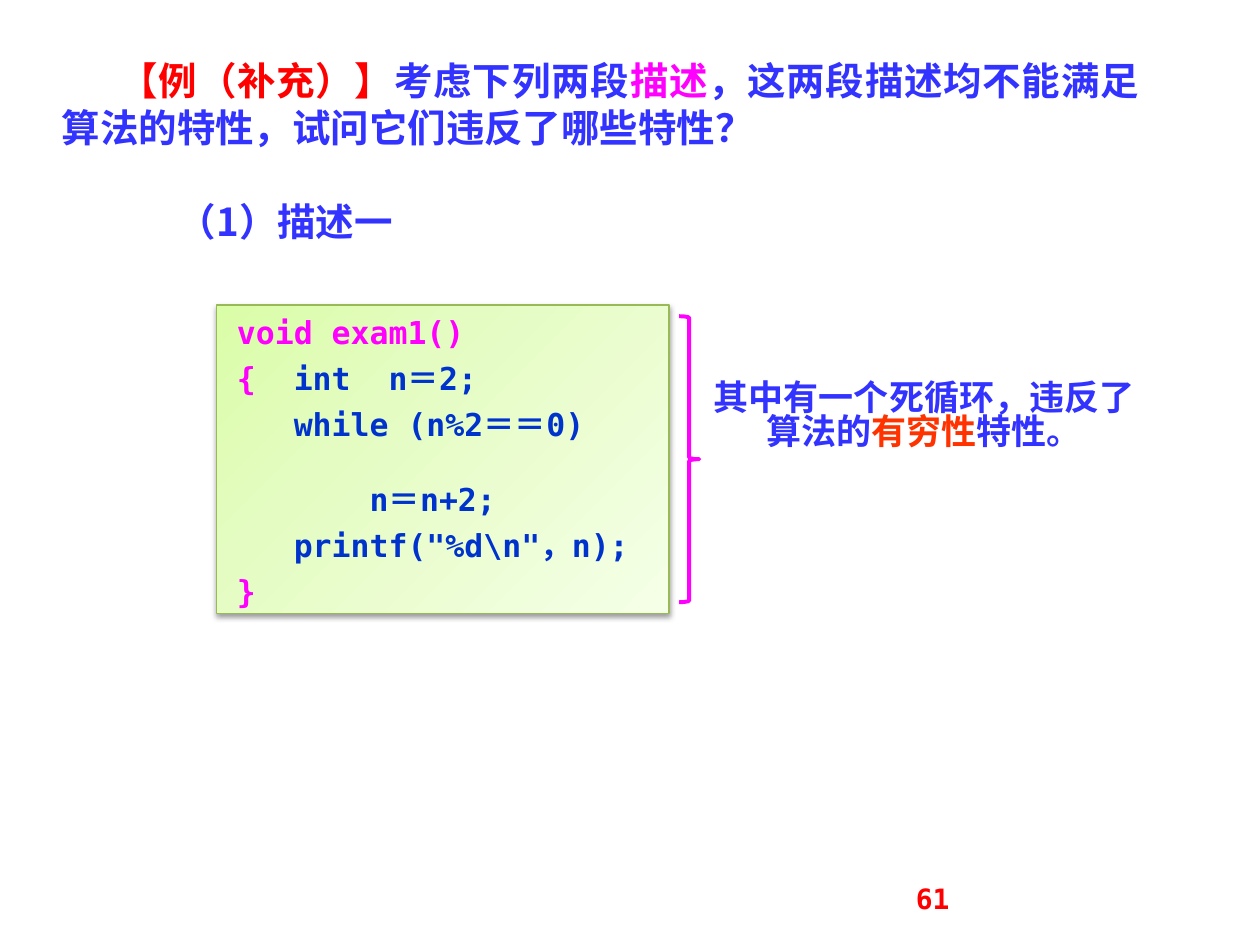
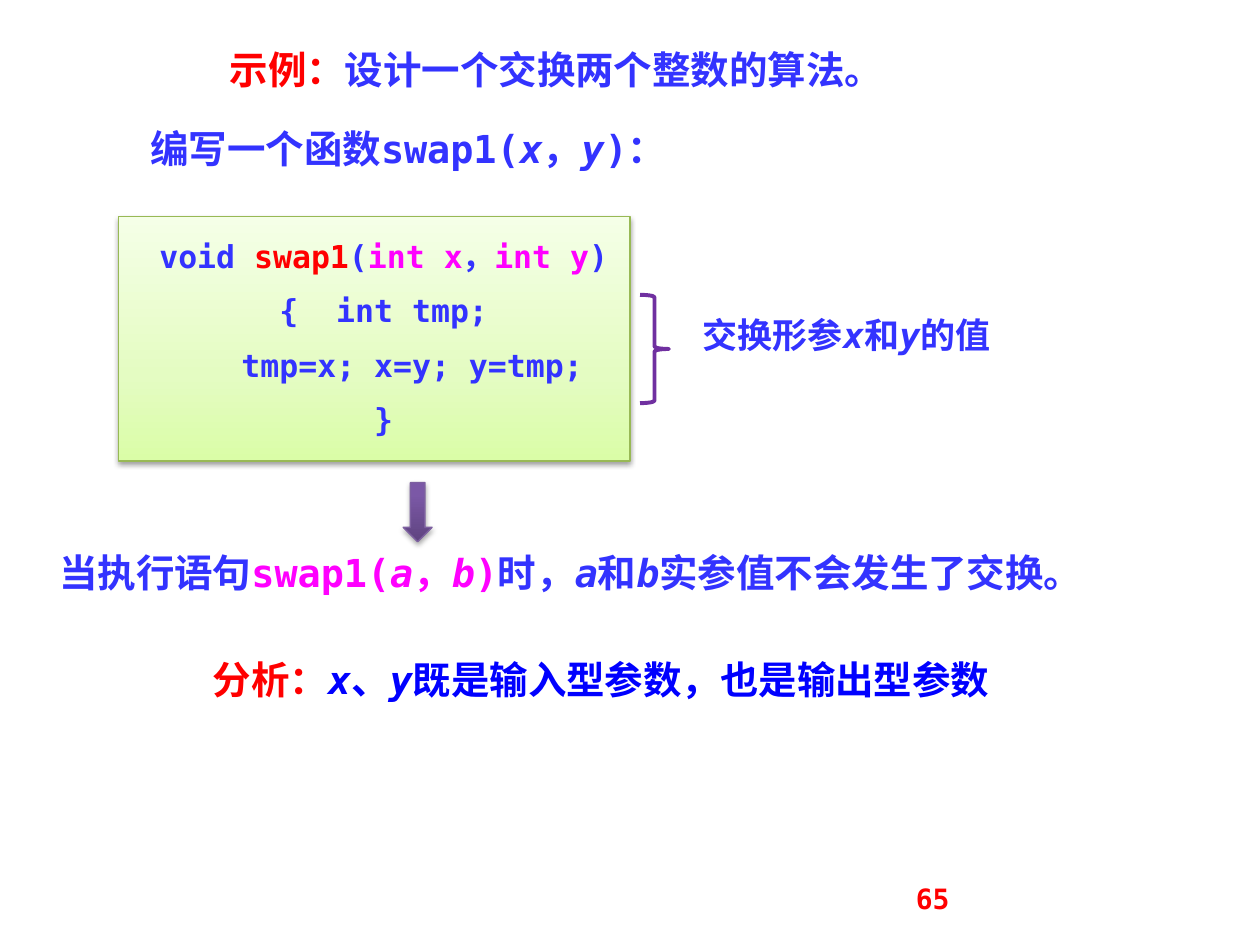
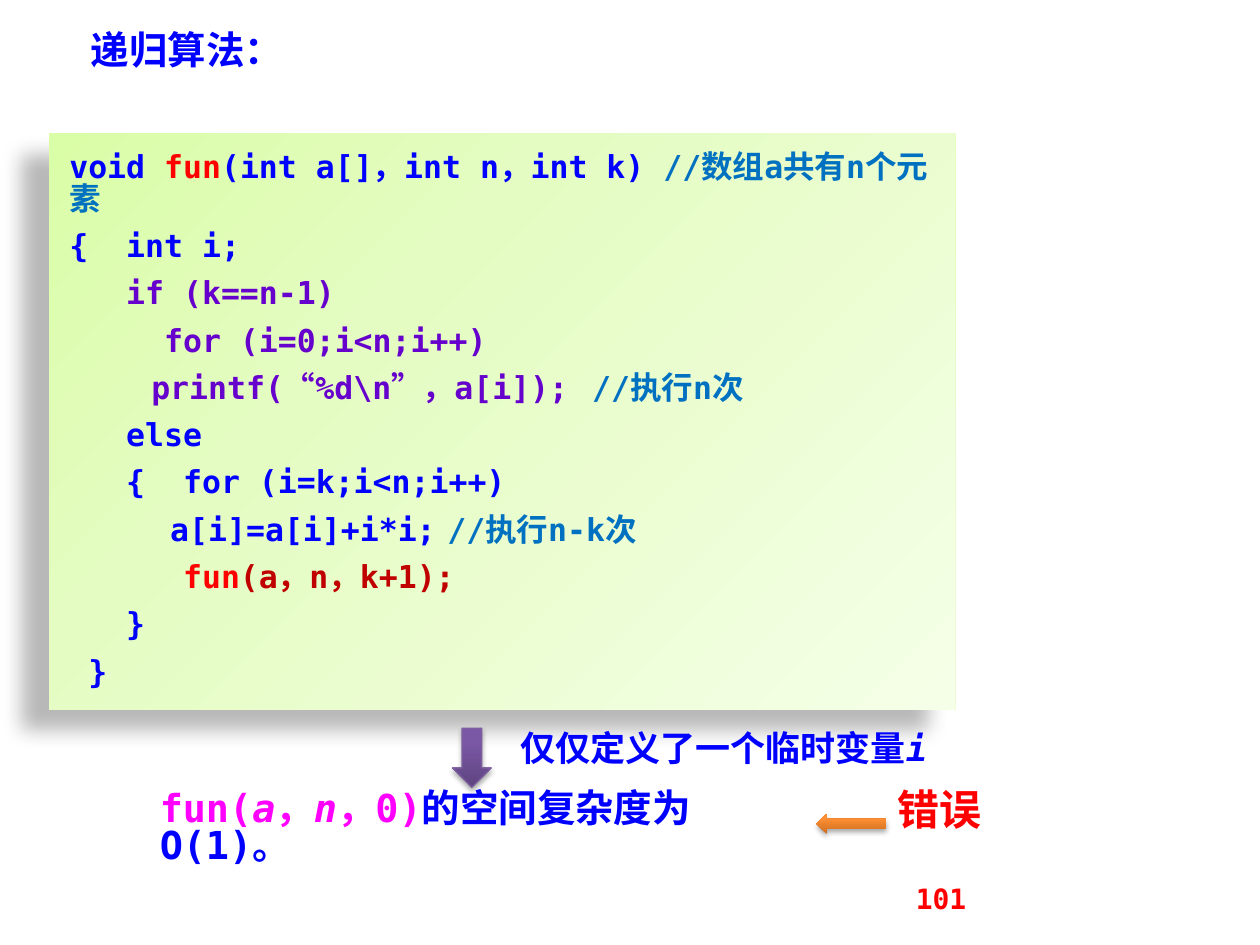
from lxml import etree
from pptx import Presentation
from pptx.dml.color import RGBColor
from pptx.enum import shapes, text
from pptx.oxml import ns
from pptx.util import Inches, Pt

COLORS = {
    "red": "FF0000", "orange red": "FF3300", "dark red": "C00000",
    "pink": "FF00FF", "indigo": "3333FF", "blue": "0000FF",
    "code blue": "0033CC", "comment": "0070C0", "violet": "6600CC",
    "purple": "7030A0", "green edge": "98B955", "purple edge": "7D60A0",
}
GREEN = [(0, "DAFDA7"), (35, "E4FCC2"), (100, "F5FFE7")]
PURPLE = [(0, "5F4480"), (80, "7B58A6"), (100, "7C57A8")]
ORANGE = [(0, "CC6E20"), (80, "FF9034"), (100, "FF9136")]
MONO, SERIF, CJK = "DejaVu Sans Mono", "Times New Roman", "Noto Sans CJK SC"
LEFT, CENTER, JUSTIFY = (text.PP_ALIGN.LEFT, text.PP_ALIGN.CENTER,
                         text.PP_ALIGN.JUSTIFY)
PRESET = shapes.MSO_SHAPE
PANEL_SHADOW = (38, 3.1, 1.6, 90)
ARROW_SHADOW = (35, 3.1, 1.8, 90)


def rgb(name):
    return RGBColor.from_string(COLORS[name])


def sub(parent, tag, **attributes):
    element = etree.SubElement(parent, ns.qn(tag))
    for key, value in attributes.items():
        element.set(key, str(value))
    return element


def write(frame, lines, size=22, font=MONO, align=CENTER, leading=None,
          before=9, gaps=None, indent=0, insets=(0.1, 0.05, 0.1, 0.05)):
    """Fill a frame with lines of (text, colour) runs; _x_ marks italics.

    gaps maps a line index to a space before that differs from the rest.
    """
    frame.word_wrap = True
    frame.auto_size = text.MSO_AUTO_SIZE.NONE
    frame.vertical_anchor = text.MSO_ANCHOR.TOP
    (frame.margin_left, frame.margin_top,
     frame.margin_right, frame.margin_bottom) = map(Inches, insets)
    for index, runs in enumerate(lines):
        paragraph = frame.add_paragraph() if index else frame.paragraphs[0]
        paragraph.alignment = align
        paragraph.space_before = Pt((gaps or {}).get(index, before) if index else 0)
        if leading:
            paragraph.line_spacing = Pt(leading)
        if indent:
            paragraph._p.get_or_add_pPr().set("indent", str(Inches(indent)))
        for content, color in runs:
            for part, words in enumerate(content.split("_")):
                if words:
                    run = paragraph.add_run()
                    run.text = words
                    run.font.name, run.font.size = font, Pt(size)
                    run.font.bold, run.font.italic = True, part % 2 == 1
                    run.font.color.rgb = rgb(color)
                    sub(run._r.get_or_add_rPr(), "a:ea", typeface=CJK)


class Deck:
    def __init__(self):
        self.presentation = Presentation()
        self.presentation.slide_width = Inches(10)
        self.presentation.slide_height = Inches(7.5)
        self.slide = None

    def new_slide(self, number, title, box, **style):
        layout = self.presentation.slide_layouts[5]
        self.slide = self.presentation.slides.add_slide(layout)
        heading = self.slide.shapes.title
        heading.left, heading.top, heading.width, heading.height = map(Inches, box)
        write(heading.text_frame, [title], **style)
        self.note([(str(number), "red")], (7.17, 6.95, 2.33, 0.4),
                  size=16, align=LEFT)

    def note(self, runs, box, **style):
        label = self.slide.shapes.add_textbox(*map(Inches, box))
        write(label.text_frame, [runs], **style)

    def shape(self, preset, box, edge=None, weight=0.75):
        shape = self.slide.shapes.add_shape(preset, *map(Inches, box))
        shape.shadow.inherit = False
        if edge:
            shape.line.color.rgb = rgb(edge)
            shape.line.width = Pt(weight)
        else:
            shape.line.fill.background()
        return shape

    def brace(self, box, color):
        self.shape(PRESET.RIGHT_BRACE, box, color, 2.25).fill.background()

    def shaded(self, preset, box, stops, angle, shadow, edge=None):
        """Add a shape with a gradient and an outer shadow.

        shadow is (opacity %, blur pt, distance pt, direction in degrees).
        """
        shape = self.shape(preset, box, edge)
        shape.fill.gradient()
        shape.fill.gradient_angle = angle
        properties = shape.element.spPr
        stop_list = properties.find(".//" + ns.qn("a:gsLst"))
        for stop in list(stop_list):
            stop_list.remove(stop)
        for position, color in stops:
            stop = sub(stop_list, "a:gs", pos=position * 1000)
            sub(stop, "a:srgbClr", val=color)
        opacity, blur, distance, direction = shadow
        outer = sub(properties.find(ns.qn("a:effectLst")), "a:outerShdw",
                    blurRad=Pt(blur), dist=Pt(distance),
                    dir=direction * 60000, rotWithShape=0)
        black = sub(outer, "a:srgbClr", val="000000")
        sub(black, "a:alpha", val=opacity * 1000)
        return shape

    def code(self, lines, box, insets, angle=315, shadow=PANEL_SHADOW,
             edge="green edge", **style):
        panel = self.shaded(PRESET.RECTANGLE, box, GREEN, angle, shadow, edge)
        write(panel.text_frame, lines, size=18, insets=insets, **style)

    def down_arrow(self, box):
        self.shaded(PRESET.DOWN_ARROW, box, PURPLE, 90, ARROW_SHADOW, "purple edge")


def endless_loop(deck):
    deck.new_slide(61, [
        ("【例（补充）】", "red"), ("考虑下列两段", "indigo"), ("描述", "pink"),
        ("，这两段描述均不能满足算法的特性，试问它们违反了哪些特性？", "indigo"),
    ], (0.39, 0.39, 8.75, 0.84), font=SERIF, align=JUSTIFY, leading=27, indent=0.46)
    deck.note([("（1）描述一", "indigo")], (0.86, 1.6, 2.81, 0.48),
              font=CJK, leading=21)
    deck.code([
        [("void exam1()", "pink")],
        [("{  ", "pink"), ("int  n＝2;", "code blue")],
        [("   while (n%2＝＝0)", "code blue")],
        [("       n＝n+2;", "code blue")],
        [('   printf("%d\\n"，n);', "code blue")],
        [("}", "pink")],
    ], (1.72, 2.42, 3.59, 2.45), (0.16, 0.12, 0.16, 0.12),
        align=LEFT, leading=17.3, gaps={3: 26})
    deck.brace((5.39, 2.51, 0.16, 2.27), "pink")
    deck.note([("其中有一个死循环，违反了算法的", "indigo"), ("有穷性", "orange red"),
               ("特性。", "indigo")], (5.5, 2.99, 3.67, 0.84),
              size=20, font=SERIF, leading=19.5)


def swap_function(deck):
    deck.new_slide(65, [("示例：", "red"), ("设计一个交换两个整数的算法。", "indigo")],
                   (0.55, 0.31, 7.73, 0.47), leading=27)
    deck.note([("编写一个函数swap1(_x_，_y_)：", "indigo")],
              (0.78, 1.02, 4.92, 0.48), leading=21)
    deck.code([
        [(" void ", "indigo"), ("swap1", "red"), ("(", "indigo"), ("int x", "pink"),
         ("，", "indigo"), ("int y", "pink"), (")", "indigo")],
        [(" {  int tmp;", "indigo")],
        [("    tmp=x; x=y; y=tmp;", "indigo")],
        [(" }", "indigo")],
    ], (0.94, 1.72, 4.06, 1.94), (0.1, 0.16, 0.1, 0.12), angle=90, leading=21.9)
    deck.brace((5.08, 2.34, 0.23, 0.86), "purple")
    deck.note([("交换形参_x_和_y_的值", "indigo")], (5.39, 2.5, 2.66, 0.47),
              size=20, leading=19.5)
    deck.down_arrow((3.2, 3.83, 0.23, 0.47))
    deck.note([("当执行语句", "indigo"), ("swap1(_a_，_b_)", "pink"),
               ("时，_a_和_b_实参值不会发生了交换。", "indigo")],
              (0.31, 4.38, 8.44, 0.48), leading=21)
    deck.note([("分析：", "red"), ("_x_、_y_既是输入型参数，也是输出型参数", "blue")],
              (0.94, 5.23, 7.66, 0.48), leading=21)


def recursive_function(deck):
    deck.new_slide(101, [("递归算法：", "blue")], (0.62, 0.23, 2.34, 0.48),
                   font=SERIF, align=JUSTIFY, leading=21)
    deck.code([
        [("void ", "blue"), ("fun", "red"), ("(int a[]，int n，int k) ", "blue"),
         ("//数组a共有n个元素", "comment")],
        [("{  int i;", "blue")],
        [("   if (k==n-1)", "violet")],
        [("     for (i=0;i<n;i++)", "violet")],
        [("\t printf(“%d\\n”，a[i]);\t ", "violet"), ("//执行n次", "comment")],
        [("   else", "blue")],
        [("   {  for (i=k;i<n;i++)", "blue")],
        [("\t  a[i]=a[i]+i*i;\t", "blue"), ("//执行n-k次", "comment")],
        [("      fun", "red"), ("(a，n，k+1);", "dark red")],
        [("   }", "blue")],
        [(" }", "blue")],
    ], (0.39, 1.06, 7.19, 4.57), (0.16, 0.16, 0.1, 0.12),
        shadow=(28, 11.8, 19.7, 141), edge=None, align=LEFT, leading=18)
    deck.down_arrow((3.59, 5.78, 0.31, 0.47))
    deck.note([("仅仅定义了一个临时变量_i_", "blue")], (3.91, 5.78, 3.67, 0.45),
              size=20, leading=19.5)
    deck.note([("fun(_a_，_n_，0)", "pink"), ("的空间复杂度为O(1)。", "blue")],
              (1.17, 6.25, 5.16, 0.48), align=LEFT, leading=21)
    deck.shaded(PRESET.LEFT_ARROW, (6.48, 6.46, 0.55, 0.16), ORANGE, 90, ARROW_SHADOW)
    deck.note([("错误", "red")], (6.95, 6.25, 1.02, 0.55),
              size=24, font=CJK, leading=23)


def main():
    deck = Deck()
    for build in (endless_loop, swap_function, recursive_function):
        build(deck)
    deck.presentation.save("out.pptx")


if __name__ == "__main__":
    main()
